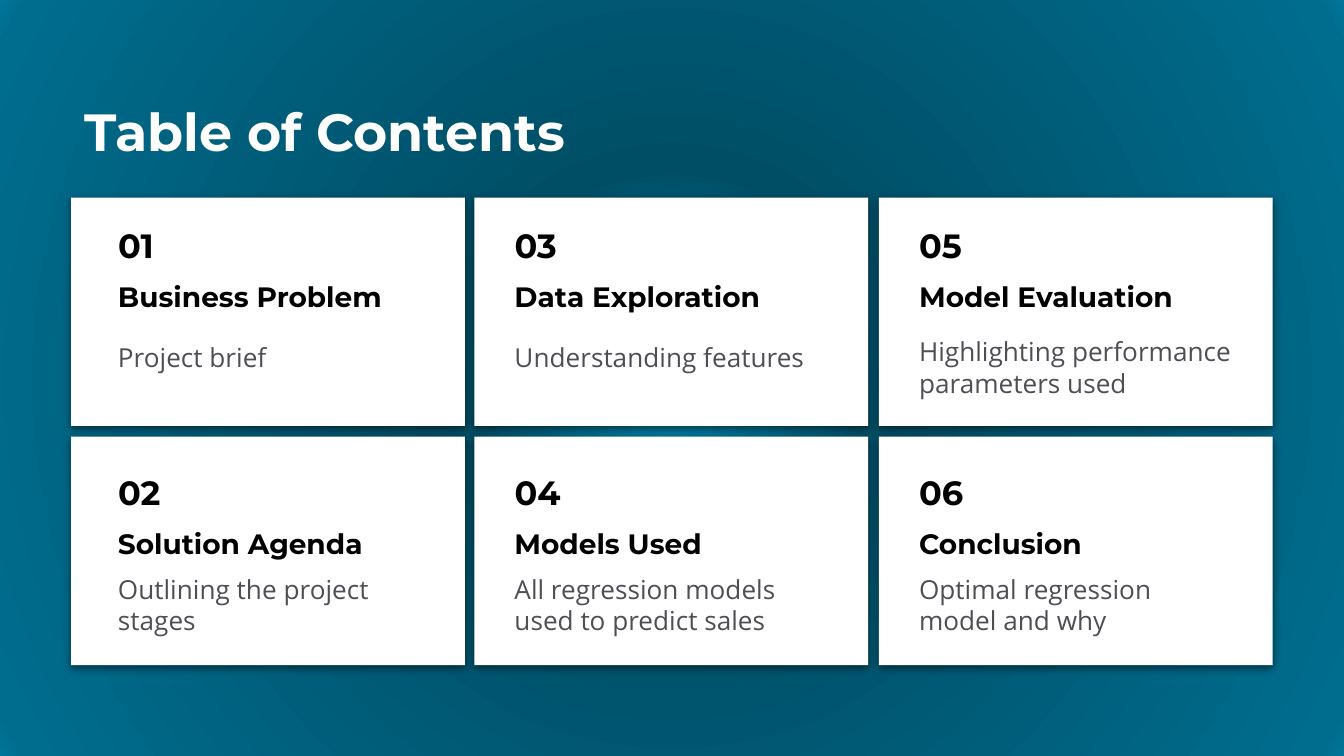
from dataclasses import dataclass

from lxml.etree import SubElement
from pptx import Presentation
from pptx.dml.color import RGBColor
from pptx.enum.shapes import MSO_SHAPE as Shape
from pptx.enum.text import MSO_ANCHOR as Anchor, MSO_AUTO_SIZE as AutoSize, PP_ALIGN as Align
from pptx.oxml import parse_xml
from pptx.oxml.ns import nsdecls, qn
from pptx.slide import Slide
from pptx.text.text import TextFrame
from pptx.util import Inches, Pt

WHITE, BLACK, GREY = "FFFFFF", "000000", "4E4F54"
HEADING_FONT, BODY_FONT = "Montserrat", "Open Sans"
BACKGROUND_STOPS = [(0, "008AB5"), (27, "004E66"), (97, "006D8E"), (100, "007599")]

SLIDE_WIDTH = Inches(10)
SLIDE_HEIGHT = SLIDE_WIDTH * 9 // 16
CARD_WIDTH, CARD_HEIGHT = 2.93, 1.7
CARD_LEFTS, CARD_TOPS = (0.53, 3.53, 6.54), (1.47, 3.25)
TEXT_LEFTS, TEXT_TOPS = (0.78, 3.73, 6.74), (1.59, 3.43)


@dataclass(frozen=True)
class Style:
    size: float
    font: str
    color: str
    bold: bool = True
    anchor: Anchor = Anchor.MIDDLE


TITLE = Style(28, HEADING_FONT, WHITE, anchor=Anchor.TOP)
NUMBER = Style(18, HEADING_FONT, BLACK, anchor=Anchor.BOTTOM)
TOPIC = Style(15, HEADING_FONT, BLACK)
SUMMARY = Style(14, BODY_FONT, GREY, bold=False)


@dataclass(frozen=True)
class Section:
    topic: str
    summary: str
    summary_width: float = 2.54
    summary_height: float = 0.48


# Numbered down each column, then across
SECTIONS = [
    Section("Business Problem", "Project brief"),
    Section("Solution Agenda", "Outlining the project stages"),
    Section("Data Exploration", "Understanding features"),
    Section("Models Used", "All regression models used to predict sales"),
    Section("Model Evaluation", "Highlighting performance parameters used", 2.64, 0.62),
    Section("Conclusion", "Optimal regression model and why"),
]


def rgb(color: str) -> RGBColor:
    return RGBColor.from_string(color)


def paint_background(slide: Slide) -> None:
    """Fill the slide with a circular gradient spreading from its centre."""
    stops = "".join(
        f'<a:gs pos="{percent * 1000}"><a:srgbClr val="{color}"/></a:gs>'
        for percent, color in BACKGROUND_STOPS
    )
    background = parse_xml(
        f'<p:bg {nsdecls("p", "a")}><p:bgPr><a:gradFill><a:gsLst>{stops}</a:gsLst>'
        '<a:path path="circle"><a:fillToRect l="50000" t="50000" r="50000" b="50000"/>'
        "</a:path></a:gradFill><a:effectLst/></p:bgPr></p:bg>"
    )
    slide.element.cSld.insert(0, background)


def write(frame: TextFrame, text: str, style: Style) -> None:
    frame.word_wrap = True
    frame.auto_size = AutoSize.NONE
    frame.vertical_anchor = style.anchor
    frame.margin_left = frame.margin_right = Inches(0.1)
    frame.margin_top = frame.margin_bottom = Inches(0.1)
    frame.text = text
    paragraph = frame.paragraphs[0]
    paragraph.alignment = Align.LEFT
    font = paragraph.runs[0].font
    font.name, font.size, font.bold = style.font, Pt(style.size), style.bold
    font.color.rgb = rgb(style.color)


def add_title(slide: Slide, text: str) -> None:
    title = slide.shapes.title
    title.left, title.top = Inches(0.53), Inches(0.64)
    title.width, title.height = Inches(8.44), Inches(0.63)
    write(title.text_frame, text, TITLE)


def add_text(slide: Slide, text: str, style: Style,
             left: float, top: float, width: float, height: float) -> None:
    box = slide.shapes.add_textbox(Inches(left), Inches(top), Inches(width), Inches(height))
    write(box.text_frame, text, style)


def add_card(slide: Slide, left: float, top: float) -> None:
    card = slide.shapes.add_shape(Shape.ROUNDED_RECTANGLE, Inches(left), Inches(top),
                                  Inches(CARD_WIDTH), Inches(CARD_HEIGHT))
    card.adjustments[0] = 0
    card.fill.solid()
    card.fill.fore_color.rgb = rgb(WHITE)
    card.line.fill.background()
    card.shadow.inherit = False
    effects = card.element.spPr.find(qn("a:effectLst"))
    shadow = SubElement(effects, qn("a:outerShdw"), blurRad=str(Pt(4.5)), dist=str(Pt(1.5)),
                        dir="5400000", algn="bl", rotWithShape="0")
    shadow_color = SubElement(shadow, qn("a:srgbClr"), val=BLACK)
    SubElement(shadow_color, qn("a:alpha"), val="50000")


def add_section(slide: Slide, index: int, section: Section) -> None:
    column, row = divmod(index, len(CARD_TOPS))
    add_card(slide, CARD_LEFTS[column], CARD_TOPS[row])
    left, top = TEXT_LEFTS[column], TEXT_TOPS[row]
    add_text(slide, f"{index + 1:02}", NUMBER, left, top, 0.85, 0.48)
    add_text(slide, section.topic, TOPIC, left, top + 0.48, 2.54, 0.27)
    add_text(slide, section.summary, SUMMARY, left, top + 0.83,
             section.summary_width, section.summary_height)


def main() -> None:
    presentation = Presentation()
    presentation.slide_width, presentation.slide_height = SLIDE_WIDTH, SLIDE_HEIGHT
    title_only = presentation.slide_layouts[5]
    slide = presentation.slides.add_slide(title_only)
    paint_background(slide)
    add_title(slide, "Table of Contents")
    for index, section in enumerate(SECTIONS):
        add_section(slide, index, section)
    presentation.save("out.pptx")


if __name__ == "__main__":
    main()
